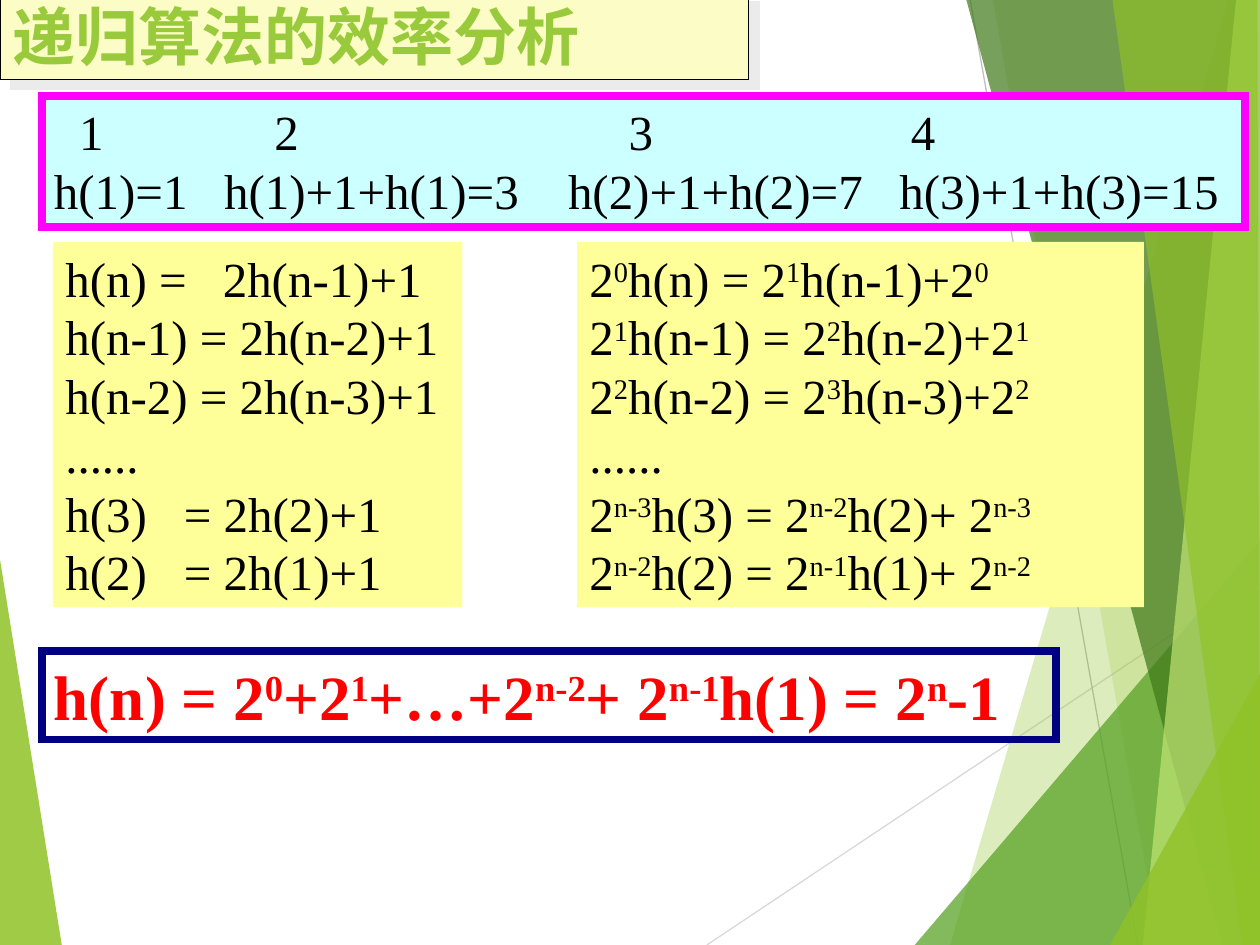
from dataclasses import dataclass
from typing import Optional

from lxml.etree import SubElement
from pptx import Presentation
from pptx.dml.color import RGBColor
from pptx.enum.shapes import MSO_CONNECTOR as Connector, MSO_SHAPE as Preset
from pptx.enum.text import MSO_ANCHOR as Anchor, PP_ALIGN as Align
from pptx.oxml.ns import qn
from pptx.util import Inches, Pt


@dataclass(frozen=True)
class Theme:
    green: str = "90C226"
    leaf: str = "54A021"
    forest: str = "3F7819"
    lime: str = "C0E474"
    pale_gray: str = "D9D9D9"
    gray: str = "BFBFBF"
    title: str = "99CA3C"
    cream: str = "FCFDC6"
    yellow: str = "FFFF99"
    cyan: str = "CCFFFF"
    magenta: str = "FF00FF"
    navy: str = "000080"
    red: str = "FF0000"
    black: str = "000000"
    shadow: str = "EBEBEB"
    serif: str = "Times New Roman"
    sans: str = "Arial"
    body_size: int = 28
    large_size: int = 36
    leading: float = 1.2


THEME = Theme()
WIDTH, HEIGHT = 10, 7.5


@dataclass(frozen=True)
class Facet:
    points: tuple
    color: str
    opacity: int


@dataclass(frozen=True)
class Ray:
    start: tuple
    end: tuple
    color: str


@dataclass(frozen=True)
class Panel:
    """Text lines; parts between bars alternate base text and superscript."""
    area: tuple
    lines: tuple
    fill: Optional[str] = None
    line: Optional[str] = None
    line_width: float = 4.5
    color: str = THEME.black
    size: int = THEME.body_size
    font: str = THEME.serif
    bold: bool = False
    tabs: tuple = ()  # one tuple of stops, in inches, per line
    shadow: bool = False


BACKDROP = (
    Facet(((0, 4.44), (0.49, 7.5), (0, 7.5)), THEME.green, 85),
    Ray((5.61, 7.5), (10, 4.57), THEME.pale_gray),
    Ray((7.7, 0), (9.03, 7.5), THEME.gray),
    Facet(((9.75, 0), (7.54, 7.5), (10, 7.5), (10, 0)), THEME.green, 30),
    Facet(((7.88, 0), (9.2, 7.5), (10, 7.5), (10, 0)), THEME.green, 20),
    Facet(((7.26, 7.5), (10, 4.29), (10, 7.5)), THEME.leaf, 72),
    Facet(((7.67, 0), (9.7, 7.5), (10, 7.5), (10, 0)), THEME.forest, 70),
    Facet(((9.81, 0), (9.07, 7.5), (10, 7.5), (10, 0)), THEME.lime, 70),
    Facet(((8.83, 0), (9.86, 7.5), (10, 7.5), (9.98, 0)), THEME.green, 65),
    Facet(((8.81, 7.5), (10, 5.35), (10, 7.5)), THEME.green, 80),
)

PANELS = (
    # Values of h for 1 to 4
    Panel((0.33, 0.76, 9.55, 1.04),
          ("\t1\t2\t3\t4",
           "h(1)=1\th(1)+1+h(1)=3\th(2)+1+h(2)=7\th(3)+1+h(3)=15"),
          fill=THEME.cyan, line=THEME.magenta,
          tabs=((0.2, 1.75, 4.56, 6.8), (1.35, 4.08, 6.71))),
    # Left equations
    Panel((0.42, 1.92, 3.25, 2.9),
          ("h(n) =\t2h(n-1)+1", "h(n-1) = 2h(n-2)+1", "h(n-2) = 2h(n-3)+1",
           "......", "h(3)\t= 2h(2)+1", "h(2)\t= 2h(1)+1"),
          fill=THEME.yellow,
          tabs=((1.25,), (), (), (), (0.94,), (0.94,))),
    # Right equations
    Panel((4.58, 1.92, 4.5, 2.9),
          ("2|0|h(n) = 2|1|h(n-1)+2|0", "2|1|h(n-1) = 2|2|h(n-2)+2|1",
           "2|2|h(n-2) = 2|3|h(n-3)+2|2", "......",
           "2|n-3|h(3) = 2|n-2|h(2)+ 2|n-3", "2|n-2|h(2) = 2|n-1|h(1)+ 2|n-2"),
          fill=THEME.yellow),
    # Result
    Panel((0.33, 5.17, 8.05, 0.7),
          ("h(n) = 2|0|+2|1|+…+2|n-2|+ 2|n-1|h(1) = 2|n|-1",),
          line=THEME.navy, color=THEME.red, size=THEME.large_size, bold=True),
    # Title
    Panel((0, -0.07, 5.94, 0.7), ("递归算法的效率分析",),
          fill=THEME.cream, line=THEME.black, line_width=0.75,
          color=THEME.title, size=THEME.large_size, font=THEME.sans,
          bold=True, shadow=True),
)


def paint(fill, color: Optional[str]) -> None:
    if color is None:
        fill.background()
    else:
        fill.solid()
        fill.fore_color.rgb = RGBColor.from_string(color)


def draw_facet(page, facet: Facet) -> None:
    points = [(Inches(x), Inches(y)) for x, y in facet.points]
    builder = page.shapes.build_freeform(*points[0])
    builder.add_line_segments(points[1:], close=True)
    shape = builder.convert_to_shape()
    shape.shadow.inherit = False
    paint(shape.fill, facet.color)
    shape.line.fill.background()
    color = shape._element.spPr.find(qn("a:solidFill"))[0]
    SubElement(color, qn("a:alpha"), val=str(facet.opacity * 1000))


def draw_ray(page, ray: Ray) -> None:
    ends = [Inches(value) for value in ray.start + ray.end]
    line = page.shapes.add_connector(Connector.STRAIGHT, *ends)
    paint(line.line.fill, ray.color)
    line.line.width = Pt(0.75)
    SubElement(line._element.spPr, qn("a:effectLst"))


def add_shadow(shape) -> None:
    effects = shape._element.spPr.find(qn("a:effectLst"))
    shadow = SubElement(effects, qn("a:outerShdw"), dist=str(Pt(8.5)),
                        dir=str(45 * 60000), algn="ctr", rotWithShape="0")
    SubElement(shadow, qn("a:srgbClr"), val=THEME.shadow)


def write_line(para, panel: Panel, text: str, stops: tuple) -> None:
    para.alignment = Align.LEFT
    para.line_spacing = Pt(panel.size * THEME.leading)
    if stops:
        tab_list = SubElement(para._p.get_or_add_pPr(), qn("a:tabLst"))
        for stop in stops:
            SubElement(tab_list, qn("a:tab"), pos=str(Inches(stop)), algn="l")
    formats = {"name": panel.font, "size": Pt(panel.size), "bold": panel.bold}
    for index, part in enumerate(text.split("|")):
        span = para.add_run()
        span.text = part
        for name, value in formats.items():
            setattr(span.font, name, value)
        span.font.color.rgb = RGBColor.from_string(panel.color)
        if index % 2:
            span._r.get_or_add_rPr().set("baseline", "30000")


def draw_panel(page, panel: Panel) -> None:
    box = page.shapes.add_shape(Preset.RECTANGLE, *map(Inches, panel.area))
    box.shadow.inherit = False
    paint(box.fill, panel.fill)
    paint(box.line.fill, panel.line)
    if panel.line:
        box.line.width = Pt(panel.line_width)
        outline = box._element.spPr.find(qn("a:ln"))
        SubElement(outline, qn("a:miter"), lim="800000")
    if panel.shadow:
        add_shadow(box)
    frame = box.text_frame
    frame.word_wrap = True
    frame.vertical_anchor = Anchor.TOP
    stops = panel.tabs or ((),) * len(panel.lines)
    for index, (text, line_stops) in enumerate(zip(panel.lines, stops)):
        para = frame.add_paragraph() if index else frame.paragraphs[0]
        write_line(para, panel, text, line_stops)


def main() -> None:
    deck = Presentation()
    deck.slide_width, deck.slide_height = Inches(WIDTH), Inches(HEIGHT)
    page = deck.slides.add_slide(deck.slide_layouts[6])
    for item in BACKDROP:
        if isinstance(item, Facet):
            draw_facet(page, item)
        else:
            draw_ray(page, item)
    for panel in PANELS:
        draw_panel(page, panel)
    deck.save("out.pptx")


if __name__ == "__main__":
    main()
